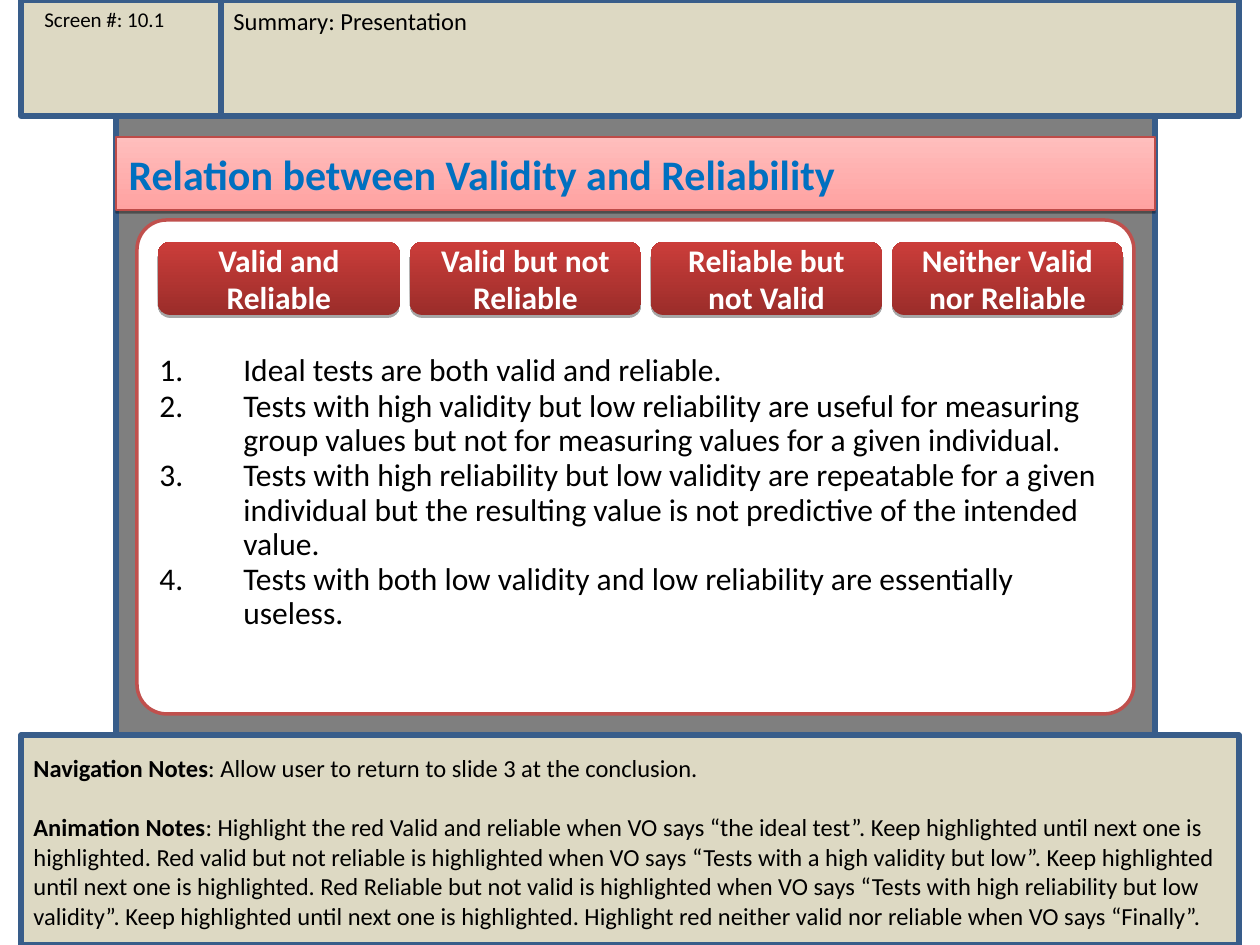
"""Build the validity and reliability summary screen with its storyboard notes."""
from lxml.etree import SubElement
from pptx import Presentation
from pptx.dml.color import RGBColor
from pptx.enum.shapes import MSO_SHAPE
from pptx.enum.text import MSO_ANCHOR, MSO_AUTO_SIZE, PP_ALIGN
from pptx.oxml.ns import qn
from pptx.util import Pt

SCALE = 914400 / 126
COLORS = {
    "gray": "7F7F7F", "tan": "DDD9C3", "navy": "385D8A", "white": "FFFFFF",
    "black": "000000", "blue": "0070C0", "red": "C0504D", "title line": "BE4B48",
    "title bottom": "FFA2A1", "title top": "FFBEBD",
    "button bottom": "9B2D2A", "button top": "CB3D3A",
}


def px(length):
    return round(length * SCALE)


def add_text(paragraph, text, size, color="black", bold=False):
    span = paragraph.add_run()
    span.text = text
    values = {"name": "Calibri", "size": Pt(size), "bold": bold}
    for name, value in values.items():
        setattr(span.font, name, value)
    span.font.color.rgb = RGBColor.from_string(COLORS[color])


deck = Presentation()
deck.slide_width, deck.slide_height = px(1260), px(945)
page = deck.slides.add_slide(deck.slide_layouts[5])

panels = [
    (MSO_SHAPE.RECTANGLE, (116, 116, 1039, 619), "gray", "navy", 3),
    (MSO_SHAPE.RECTANGLE, (21, 0, 1218, 116), "tan", "navy", 3),
    (MSO_SHAPE.RECTANGLE, (21, 735, 1218, 210), "tan", "navy", 3),
    (MSO_SHAPE.RECTANGLE, (221, 0, 1018, 116), "tan", "navy", 3),
    (MSO_SHAPE.ROUNDED_RECTANGLE, (137, 220, 997, 494), "white", "red", 2),
]
for kind, place, fill, line, width in panels:
    panel = page.shapes.add_shape(kind, *map(px, place))
    panel.shadow.inherit = False
    panel.fill.solid()
    panel.fill.fore_color.rgb = RGBColor.from_string(COLORS[fill])
    panel.line.color.rgb = RGBColor.from_string(COLORS[line])
    panel.line.width = Pt(width)
panel.adjustments[0] = 0.06

title = page.shapes.title
title.element.getparent().append(title.element)
title_place = {"left": 116, "top": 137, "width": 1039, "height": 73}
for name, value in title_place.items():
    setattr(title, name, px(value))
title.line.color.rgb = RGBColor.from_string(COLORS["title line"])
title.line.width = Pt(0.75)
glossy = [(title, "title", "Relation between Validity and Reliability", 24, "blue", PP_ALIGN.LEFT, 38)]

left = 158
buttons = [
    ("Valid and Reliable", 242),
    ("Valid but not Reliable", 231),
    ("Reliable but not Valid", 231),
    ("Neither Valid nor Reliable", 231),
]
for label, width in buttons:
    button = page.shapes.add_shape(MSO_SHAPE.ROUNDED_RECTANGLE, px(left), px(242), px(width), px(73))
    button.line.fill.background()
    glossy.append((button, "button", label, 18, "white", PP_ALIGN.CENTER, 35))
    left += width + 10

for shape, style, label, size, color, alignment, opacity in glossy:
    shape.fill.gradient()
    shape.fill.gradient_angle = 90
    for stop, end in zip(shape.fill.gradient_stops, ("bottom", "top")):
        stop.color.rgb = RGBColor.from_string(COLORS[f"{style} {end}"])
    shape.shadow.inherit = False
    effects = shape.element.spPr.find(qn("a:effectLst"))
    shadow = SubElement(effects, qn("a:outerShdw"), dist=str(Pt(1.7)), dir="5400000", rotWithShape="0")
    shade = SubElement(shadow, qn("a:srgbClr"), val=COLORS["black"])
    SubElement(shade, qn("a:alpha"), val=str(opacity * 1000))
    frame = shape.text_frame
    settings = {"word_wrap": True, "auto_size": MSO_AUTO_SIZE.NONE, "vertical_anchor": MSO_ANCHOR.MIDDLE}
    for name, value in settings.items():
        setattr(frame, name, value)
    frame.paragraphs[0].alignment = alignment
    add_text(frame.paragraphs[0], label, size, color, True)

headers = [
    ("Screen #: 10.1", (32, 0, 178, 38), 12),
    ("Summary: Presentation", (221, 0, 1039, 43), 14),
]
for text, place, size in headers:
    box = page.shapes.add_textbox(*map(px, place))
    box.text_frame.word_wrap = True
    add_text(box.text_frame.paragraphs[0], text, size)

notes = [
    ("Navigation Notes", ": Allow user to return to slide 3 at the conclusion."),
    ("Animation Notes", ": Highlight the red Valid and reliable when VO says “the ideal test”. "
     "Keep highlighted until next one is highlighted. Red valid but not reliable is highlighted "
     "when VO says “Tests with a high validity but low”. Keep highlighted until next one is "
     "highlighted. Red Reliable but not valid is highlighted when VO says “Tests with high "
     "reliability but low validity”. Keep highlighted until next one is highlighted. Highlight "
     "red neither valid nor reliable when VO says “Finally”."),
]
frame = page.shapes.add_textbox(px(21), px(747), px(1218), px(192)).text_frame
frame.word_wrap = True
for index, (heading, body) in enumerate(notes):
    para = frame.add_paragraph() if index else frame.paragraphs[0]
    para.space_before = Pt(17 * index)
    add_text(para, heading, 14, bold=True)
    add_text(para, body, 14)

points = [
    "Ideal tests are both valid and reliable.",
    "Tests with high validity but low reliability are useful for measuring group values "
    "but not for measuring values for a given individual.",
    "Tests with high reliability but low validity are repeatable for a given individual "
    "but the resulting value is not predictive of the intended value.",
    "Tests with both low validity and low reliability are essentially useless.",
]
frame = page.shapes.add_textbox(px(147), px(348), px(966), px(324)).text_frame
frame.word_wrap = True
for number, point in enumerate(points, 1):
    para = frame.add_paragraph() if number > 1 else frame.paragraphs[0]
    para.line_spacing = 0.9
    para.space_before = Pt(1)
    properties = para.runs and None or para._p.get_or_add_pPr()
    properties.set("marL", str(px(84)))
    properties.set("indent", str(-px(84)))
    add_text(para, f"{number}.\t{point}", 18)

deck.save("out.pptx")
